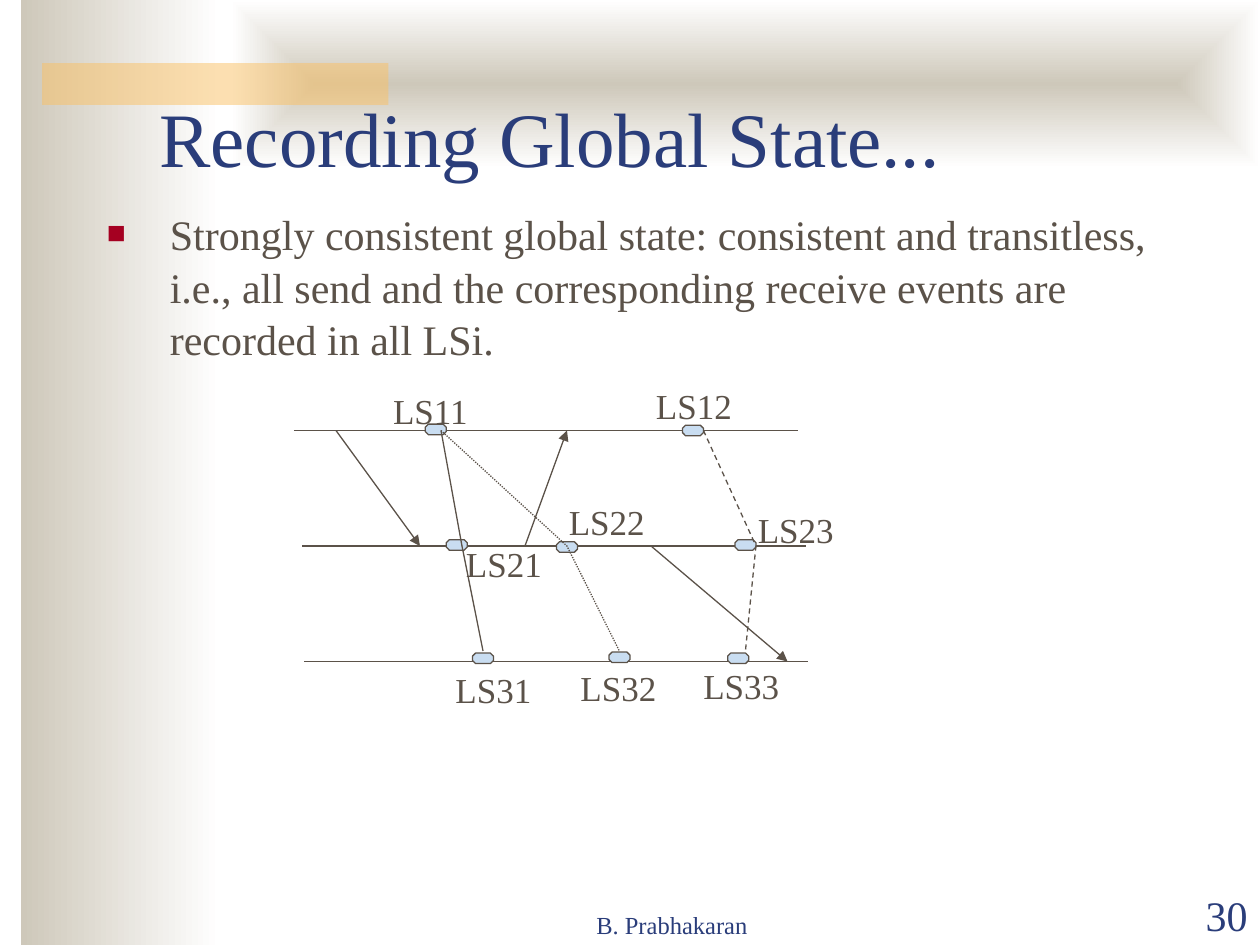
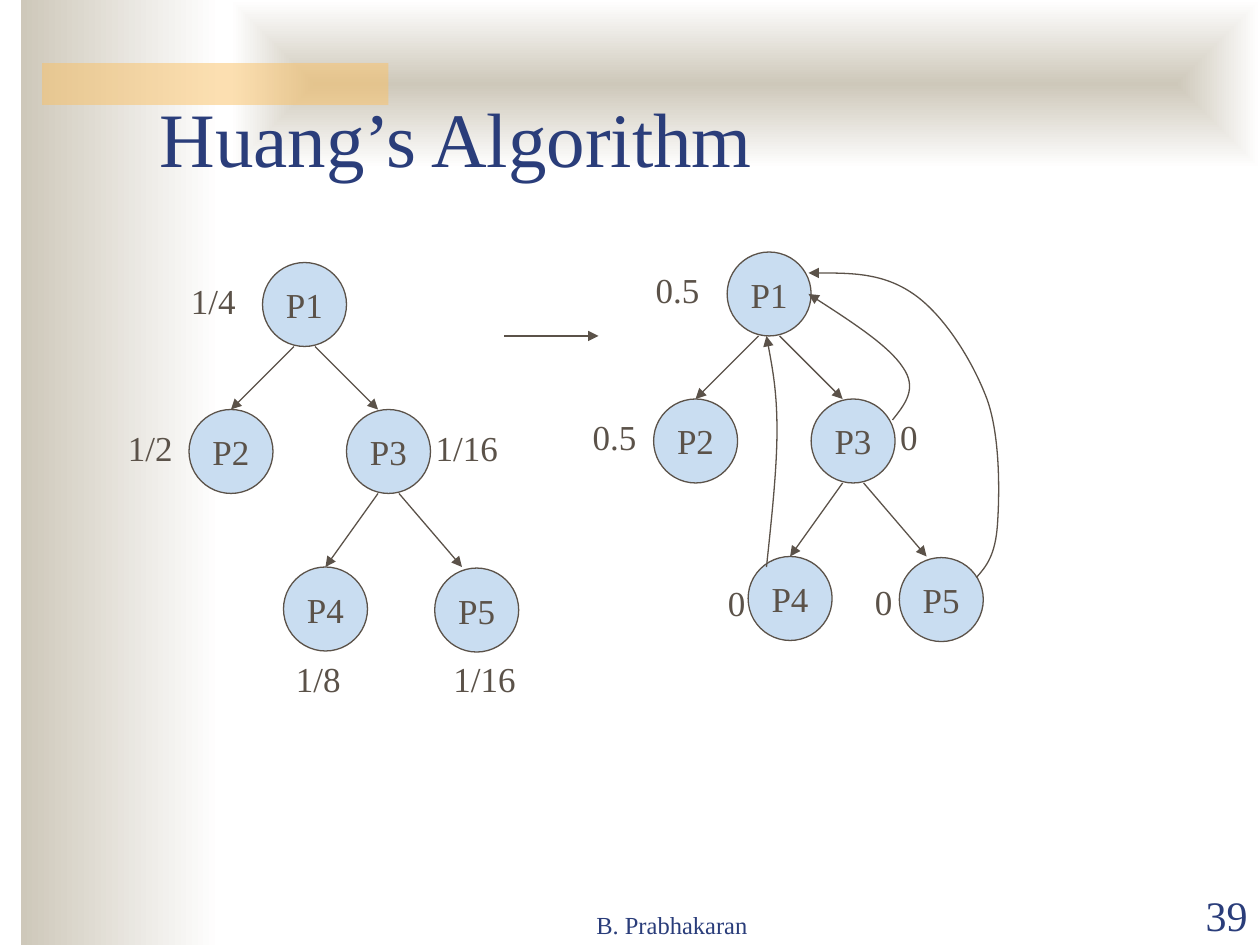
from lxml.etree import SubElement
from pptx import Presentation
from pptx.dml.color import RGBColor
from pptx.enum.dml import MSO_LINE
from pptx.enum.shapes import MSO_CONNECTOR, MSO_SHAPE
from pptx.enum.text import MSO_ANCHOR, MSO_AUTO_SIZE, PP_ALIGN
from pptx.oxml.ns import qn
from pptx.util import Inches, Pt

COLORS = {"ink": "5B5249", "navy": "2A3D7A", "node": "C9DDF1", "sand": "CEC8BA",
          "white": "FFFFFF", "accent": "FAC164", "bullet": "A50021"}
FONT = "Times New Roman"
COLUMN = ROW = Inches(1) // 12
LABEL_WIDTHS = {1: 4.1, 3: 6.6, 4: 8.3}


def rgb(name):
    return RGBColor.from_string(COLORS[name])


def emu(*lengths):
    return [int(length * unit) for length, unit in zip(lengths, (COLUMN, ROW) * 2)]


class Deck:
    def __init__(self):
        self.presentation = Presentation()
        self.presentation.slide_width, self.presentation.slide_height = emu(120, 90)
        self.layout = self.presentation.slide_layouts.get_by_name("Title Only")
        self.slide = None

    def add_slide(self, title, number):
        first = self.slide is None
        self.slide = self.presentation.slides.add_slide(self.layout)
        if first:
            self.add_bands()
        shape = self.slide.shapes.title
        shape.left, shape.top, shape.width, shape.height = emu(14, 3, 102, 15)
        self.set_text(shape, title, 44, "navy", PP_ALIGN.LEFT, MSO_ANCHOR.BOTTOM)
        self.text("B. Prabhakaran", (45, 84.1, 38, 6), 14, "navy",
                  PP_ALIGN.CENTER, MSO_ANCHOR.BOTTOM)
        self.text(str(number), (108, 84.1, 12, 6), 24, "navy",
                  PP_ALIGN.RIGHT, MSO_ANCHOR.BOTTOM)

    def add_bands(self):
        side = self.shape(MSO_SHAPE.RECTANGLE, (2, 0, 19, 90))
        top = self.shape(MSO_SHAPE.RECTANGLE, (22, 0, 98, 16))
        bar = self.shape(MSO_SHAPE.RECTANGLE, (4, 6, 33, 4), "accent")
        for band in (side, top):
            band.fill.gradient()
            band.fill.gradient_angle = 0
            for stop, color in zip(band.fill.gradient_stops, ("sand", "white")):
                stop.color.rgb = rgb(color)
        gradient = top.element.spPr.find(qn("a:gradFill"))
        gradient.remove(gradient.find(qn("a:lin")))
        center = SubElement(gradient, qn("a:path"), {"path": "rect"})
        SubElement(center, qn("a:fillToRect"), dict.fromkeys("ltrb", "50000"))
        SubElement(next(bar.element.iter(qn("a:srgbClr"))), qn("a:alpha"), val="50000")
        tree = self.layout.placeholders[0].element.getparent()
        for index, band in enumerate((side, top, bar)):
            band.line.fill.background()
            next(band.element.iter(qn("p:cNvPr"))).set("id", str(101 + index))
            tree.insert(2 + index, band.element)

    def set_text(self, shape, text, size, color, align, anchor, wrap=True):
        frame = shape.text_frame
        frame.text = text
        frame.word_wrap = wrap
        frame.auto_size = MSO_AUTO_SIZE.NONE
        frame.vertical_anchor = anchor
        paragraph = frame.paragraphs[0]
        paragraph.alignment = align
        font = paragraph.runs[0].font
        font.name, font.size, font.color.rgb = FONT, Pt(size), rgb(color)
        return paragraph

    def text(self, text, box, size=20, color="ink", align=PP_ALIGN.LEFT,
             anchor=MSO_ANCHOR.TOP, wrap=True):
        shape = self.slide.shapes.add_textbox(*emu(*box))
        return self.set_text(shape, text, size, color, align, anchor, wrap)

    def bullet(self, text, box):
        paragraph = self.text(text, box, 24)
        paragraph.line_spacing = 1.05
        properties = paragraph._p.get_or_add_pPr()
        properties.set("marL", str(Inches(0.5)))
        properties.set("indent", str(-Inches(0.5)))
        color = SubElement(properties, qn("a:buClr"))
        SubElement(color, qn("a:srgbClr"), val=COLORS["bullet"])
        SubElement(properties, qn("a:buSzPct"), val="75000")
        SubElement(properties, qn("a:buFont"), typeface=FONT)
        SubElement(properties, qn("a:buChar"), char="■")

    def shape(self, kind, box, fill="node"):
        shape = self.slide.shapes.add_shape(kind, *emu(*box))
        shape.shadow.inherit = False
        shape.fill.solid()
        shape.fill.fore_color.rgb = rgb(fill)
        self.stroke(shape)
        return shape

    def node(self, name, left, top):
        shape = self.shape(MSO_SHAPE.OVAL, (left, top, 8, 8))
        self.set_text(shape, name, 20, "ink", PP_ALIGN.CENTER, MSO_ANCHOR.MIDDLE, False)
        return shape

    def stroke(self, shape, width=0.75, dash=None, arrow=False):
        shape.line.color.rgb = rgb("ink")
        shape.line.width = Pt(width)
        if dash:
            shape.line.dash_style = dash
        if arrow:
            SubElement(shape.element.spPr.find(qn("a:ln")), qn("a:tailEnd"), type="triangle")

    def line(self, start, end, width=0.75, arrow=True, target=None):
        connector = self.slide.shapes.add_connector(MSO_CONNECTOR.STRAIGHT, *emu(*start, *end))
        if target is not None:
            connector.end_connect(target, 0)
        self.stroke(connector, width, arrow=arrow)
        SubElement(connector.element.spPr, qn("a:effectLst"))

    def polyline(self, points, dash=None, arrow=False):
        start, *rest = [emu(*point) for point in points]
        builder = self.slide.shapes.build_freeform(*start)
        builder.add_line_segments(rest, close=False)
        shape = builder.convert_to_shape()
        shape.shadow.inherit = False
        shape.fill.background()
        self.stroke(shape, dash=dash, arrow=arrow)
        return shape

    def curve(self, points):
        shape = self.polyline(points, arrow=True)
        segments = list(shape.element.iter(qn("a:lnTo")))
        outline = segments[0].getparent()
        for index in range(0, len(segments), 3):
            bezier = SubElement(outline, qn("a:cubicBezTo"))
            for segment in segments[index:index + 3]:
                bezier.append(segment[0])
                outline.remove(segment)


def add_global_state(deck):
    deck.add_slide("Recording Global State...", 30)
    deck.bullet("Strongly consistent global state: consistent and transitless, i.e., all send "
                "and the corresponding receive events are recorded in all LSi.",
                (9, 19, 102, 54))
    for left, top in ((28, 41), (28.8, 52), (29, 63)):
        deck.line((left, top), (left + 48, top), arrow=False)
    states = {"LS11": ((40.5, 40.4), (36.2, 36.4)), "LS12": ((65, 40.5), (61.3, 36)),
              "LS21": ((42.5, 51.4), (43.2, 51)), "LS22": ((53, 51.6), (53, 47)),
              "LS23": ((70, 51.4), (71, 47.8)), "LS31": ((45, 62.2), (42.2, 63)),
              "LS32": ((58, 62.1), (54.1, 62.8)), "LS33": ((69.3, 62.2), (65.8, 62.6))}
    for marker, _ in states.values():
        deck.shape(MSO_SHAPE.OCTAGON, (*marker, 2, 1))
    for start, end in (((32, 41), (40, 52)), ((50, 52), (54, 41)), ((62, 52), (75, 63))):
        deck.line(start, end)
    cuts = (((42, 44, 46), None), ((42, 54, 59), MSO_LINE.ROUND_DOT),
            ((67, 72, 71), MSO_LINE.DASH))
    for columns, dash in cuts:
        deck.polyline(zip(columns, (41, 52, 62)), dash)
    for name, (_, label) in states.items():
        deck.text(name, (*label, 9.6, 5.3), align=PP_ALIGN.CENTER,
                  anchor=MSO_ANCHOR.MIDDLE, wrap=False)


def add_tree(deck, across, down, weights):
    places = {"P1": (25, 25), "P2": (18, 39), "P3": (33, 39),
              "P4": (27, 54), "P5": (41.4, 54.1)}
    edges = (((28, 33), (22, 39), "P2"), ((30, 33), (36, 39), None),
             ((36, 47), (31, 54), "P4"), ((38, 47), (44, 54), None))

    def place(point):
        return point[0] + across, point[1] + down

    nodes = {name: deck.node(name, *place(point)) for name, point in places.items()}
    for start, end, target in edges:
        deck.line(place(start), place(end), target=nodes.get(target))
    for weight, point in weights:
        deck.text(weight, (*place(point), LABEL_WIDTHS[len(weight)], 5.3), wrap=False)


def add_huang(deck):
    deck.add_slide("Huang’s Algorithm", 39)
    add_tree(deck, 0, 0, (("1/4", (17, 26)), ("1/2", (11, 40)), ("1/16", (40.3, 40)),
                          ("1/8", (27, 62)), ("1/16", (42, 62))))
    add_tree(deck, 44.25, -1, (("0.5", (17, 26)), ("0.5", (11, 40)), ("0", (40.3, 40)),
                               ("0", (23.9, 55.8)), ("0", (37.9, 55.7))))
    returns = (
        ((85, 40), (86.2, 38.5), (87.4, 37), (86, 35), (84.7, 33), (80.9, 30.5), (77, 28)),
        ((93, 55), (94, 53.9), (94.8, 52.8), (95, 50), (95.2, 47.2), (95.3, 41.6), (94, 38),
         (92.6, 34.3), (89.9, 30), (87, 28), (84.1, 26), (80.6, 26), (77, 26)),
        ((73, 54), (73.5, 49.3), (74, 44.6), (74, 41), (74, 37.3), (73.5, 34.7), (73, 32)))
    for points in returns:
        deck.curve(points)
    deck.line((48, 32), (57, 32), 1.5)


def main():
    deck = Deck()
    add_global_state(deck)
    add_huang(deck)
    deck.presentation.save("out.pptx")


if __name__ == "__main__":
    main()
